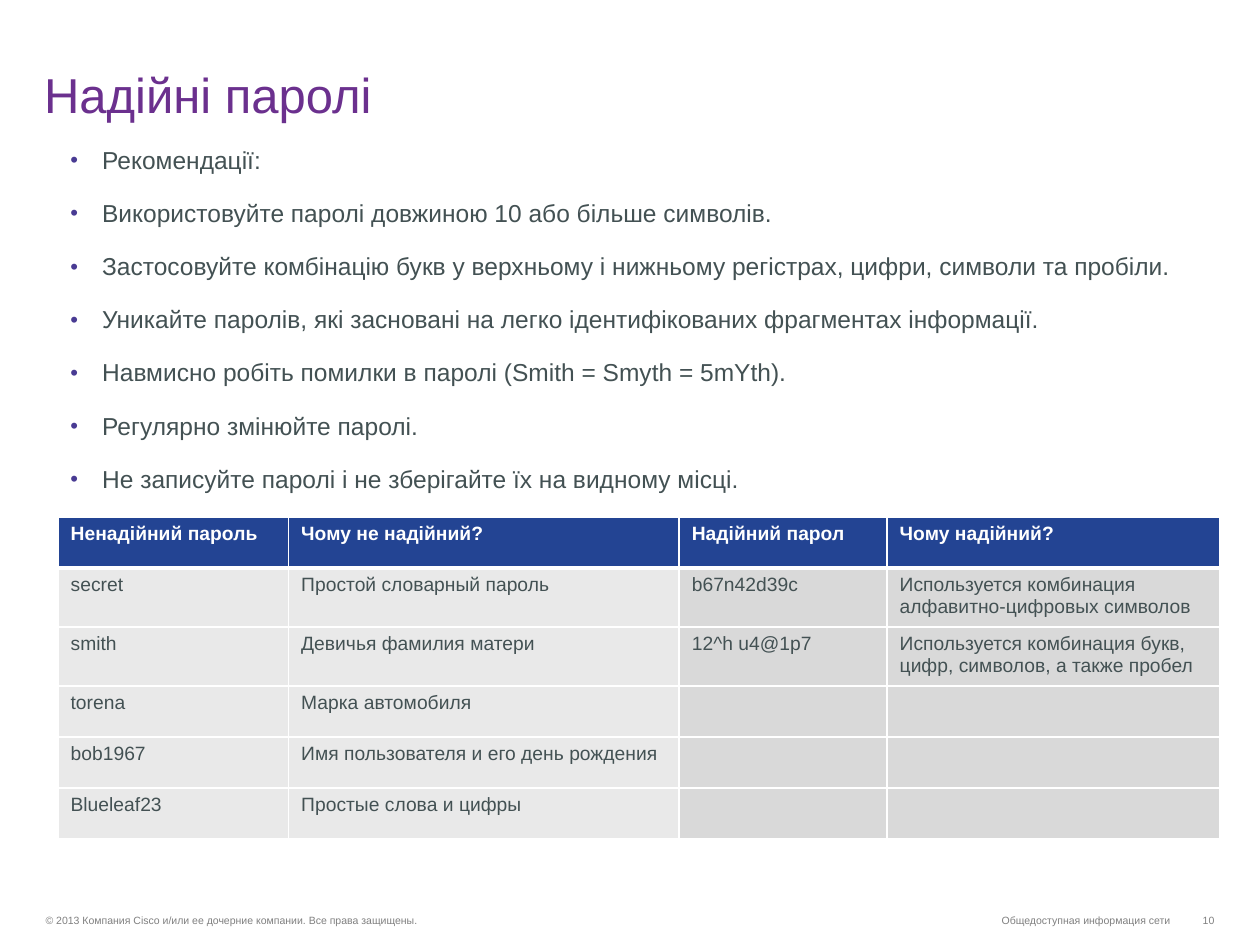
import lxml.etree
import pptx
import pptx.dml.color
import pptx.enum.text
import pptx.oxml.ns
import pptx.util

Cm = pptx.util.Cm
Pt = pptx.util.Pt
RGBColor = pptx.dml.color.RGBColor
Align = pptx.enum.text.PP_ALIGN
Anchor = pptx.enum.text.MSO_ANCHOR

FONT = "Arial"
PURPLE = RGBColor(0x6B, 0x30, 0x8E)
VIOLET = RGBColor(0x49, 0x3B, 0x93)
SLATE = RGBColor(0x43, 0x51, 0x53)
GRAY = RGBColor(0x80, 0x80, 0x80)
BLUE = RGBColor(0x23, 0x44, 0x93)
LIGHT = RGBColor(0xE9, 0xE9, 0xE9)
MEDIUM = RGBColor(0xD9, 0xD9, 0xD9)
WHITE = RGBColor(0xFF, 0xFF, 0xFF)

RECOMMENDATIONS = [
    "Рекомендації:",
    "Використовуйте паролі довжиною 10 або більше символів.",
    "Застосовуйте комбінацію букв у верхньому і нижньому регістрах, цифри, символи та пробіли.",
    "Уникайте паролів, які засновані на легко ідентифікованих фрагментах інформації.",
    "Навмисно робіть помилки в паролі (Smith = Smyth = 5mYth).",
    "Регулярно змінюйте паролі.",
    "Не записуйте паролі і не зберігайте їх на видному місці.",
]
PASSWORDS = [
    ["Ненадійний пароль", "Чому не надійний?", "Надійний парол", "Чому надійний?"],
    ["secret", "Простой словарный пароль", "b67n42d39c",
     "Используется комбинация алфавитно-цифровых символов"],
    ["smith", "Девичья фамилия матери", "12^h u4@1p7",
     "Используется комбинация букв, цифр, символов, а также пробел"],
    ["torena", "Марка автомобиля", "", ""],
    ["bob1967", "Имя пользователя и его день рождения", "", ""],
    ["Blueleaf23", "Простые слова и цифры", "", ""],
]
COLUMN_SHARES = [1.83, 3.1, 1.65, 2.64]


def add_element(parent, tag, **attributes):
    """Append a DrawingML element and return it."""
    return lxml.etree.SubElement(parent, pptx.oxml.ns.qn(tag), attributes)


def style_font(paragraph, size, color, bold=False):
    """Set the font of a whole paragraph."""
    font = paragraph.font
    font.name = FONT
    font.size = Pt(size)
    font.bold = bold
    font.color.rgb = color


def add_text(slide, box, text, size, color, align=Align.LEFT, margins=(0.25, 0.13)):
    """Place one bottom-anchored line of text in the box."""
    frame = slide.shapes.add_textbox(*box).text_frame
    frame.word_wrap = True
    frame.vertical_anchor = Anchor.BOTTOM
    frame.margin_left = frame.margin_right = Cm(margins[0])
    frame.margin_top = frame.margin_bottom = Cm(margins[1])
    paragraph = frame.paragraphs[0]
    paragraph.text = text
    paragraph.alignment = align
    style_font(paragraph, size, color)


def add_bullet(paragraph):
    """Give the paragraph a hanging violet bullet."""
    properties = paragraph._p.get_or_add_pPr()
    properties.set("marL", str(Cm(0.64)))
    properties.set("indent", str(-Cm(0.64)))
    add_element(add_element(properties, "a:buClr"), "a:srgbClr", val=str(VIOLET))
    add_element(properties, "a:buSzPct", val="90000")
    add_element(properties, "a:buFont", typeface=FONT)
    add_element(properties, "a:buChar", char="•")


def add_recommendations(slide, box):
    """Place the bulleted recommendations in the box."""
    frame = slide.shapes.add_textbox(*box).text_frame
    frame.word_wrap = True
    for index, text in enumerate(RECOMMENDATIONS):
        paragraph = frame.add_paragraph() if index else frame.paragraphs[0]
        paragraph.text = text
        add_bullet(paragraph)
        paragraph.line_spacing = 0.95
        paragraph.space_before = Pt(14.4 if index else 0)
        style_font(paragraph, 14, SLATE)


def add_borders(cell, bottom_width):
    """Draw white borders around a table cell."""
    properties = cell._tc.get_or_add_tcPr()
    widths = {"a:lnL": 1, "a:lnR": 1, "a:lnT": 1, "a:lnB": bottom_width}
    for tag, width in widths.items():
        line = add_element(properties, tag, w=str(Pt(width)))
        add_element(add_element(line, "a:solidFill"), "a:srgbClr", val=str(WHITE))


def add_password_table(slide, box):
    """Place the table of weak and strong passwords in the box."""
    width, height = box[2:]
    table = slide.shapes.add_table(len(PASSWORDS), len(COLUMN_SHARES), *box).table
    for column, share in zip(table.columns, COLUMN_SHARES):
        column.width = int(width * share / sum(COLUMN_SHARES))
    for row_index, texts in enumerate(PASSWORDS):
        is_header = row_index == 0
        table.rows[row_index].height = int(height / len(PASSWORDS))
        for column_index, text in enumerate(texts):
            cell = table.cell(row_index, column_index)
            cell.text = text
            add_borders(cell, 3 if is_header else 1)
            cell.fill.solid()
            body_fill = LIGHT if column_index < 2 else MEDIUM
            cell.fill.fore_color.rgb = BLUE if is_header else body_fill
            style_font(cell.text_frame.paragraphs[0], 11,
                       WHITE if is_header else SLATE, is_header)


def add_footer(slide, box):
    """Place the copyright, classification and page number in the box."""
    left, top, width, height = box
    right = left + width
    parts = [
        (left, Cm(9.5), Align.LEFT,
         "© 2013 Компания Cisco и/или ее дочерние компании. Все права защищены."),
        (right - Cm(4.9), Cm(4.01), Align.RIGHT, "Общедоступная информация сети"),
        (right - Cm(0.71), Cm(0.71), Align.RIGHT, "10"),
    ]
    for part_left, part_width, align, text in parts:
        add_text(slide, (part_left, top, part_width, height), text, 6, GRAY,
                 align, (0.23, 0.1))


def main():
    """Build the slide about strong passwords."""
    presentation = pptx.Presentation()
    presentation.slide_width = Cm(25.4)
    presentation.slide_height = Cm(19.05)
    slide = presentation.slides.add_slide(presentation.slide_layouts[6])
    add_footer(slide, (Cm(0.69), Cm(18.29), Cm(24.02), Cm(0.48)))
    add_text(slide, (Cm(0.64), Cm(0.28), Cm(23.85), Cm(2.34)), "Надійні паролі", 28, PURPLE)
    add_recommendations(slide, (Cm(1.17), Cm(2.84), Cm(24.23), Cm(8.03)))
    add_password_table(slide, (Cm(1.17), Cm(10.42), Cm(23.42), Cm(6.18)))
    presentation.save("out.pptx")


if __name__ == "__main__":
    main()
